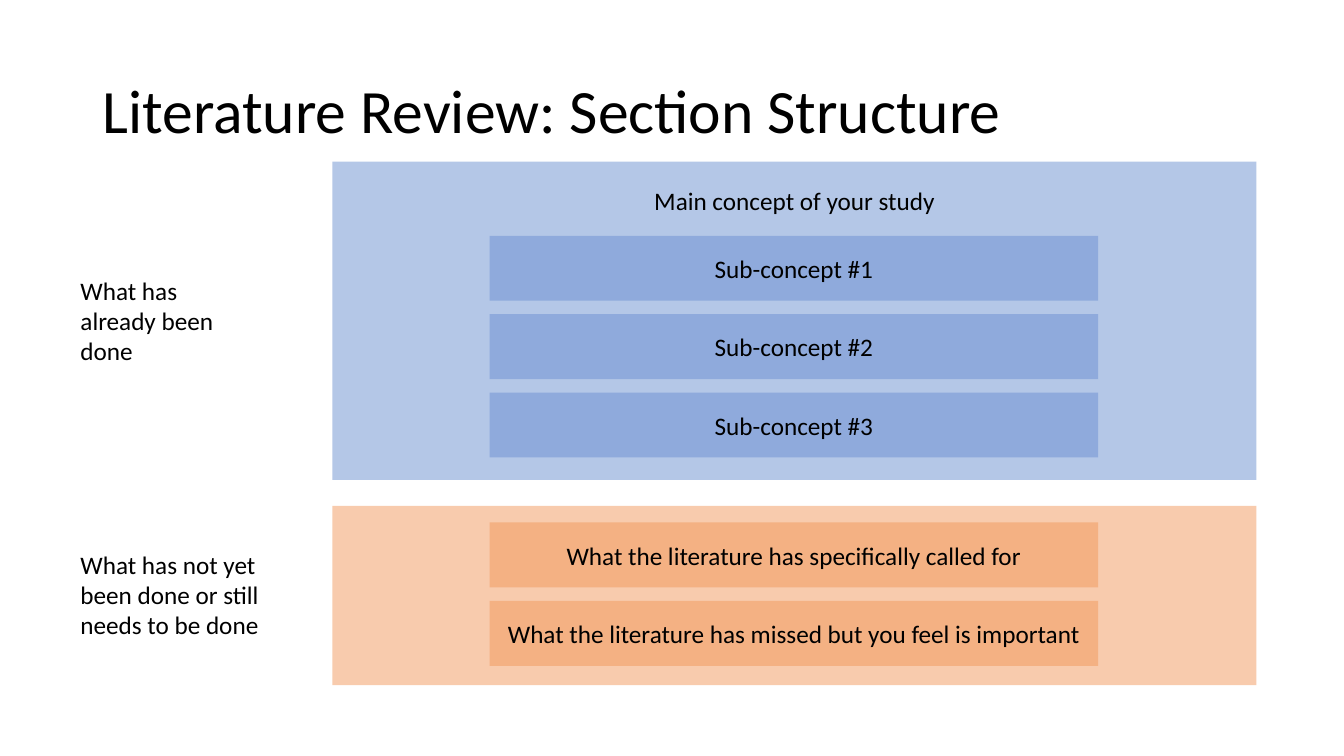
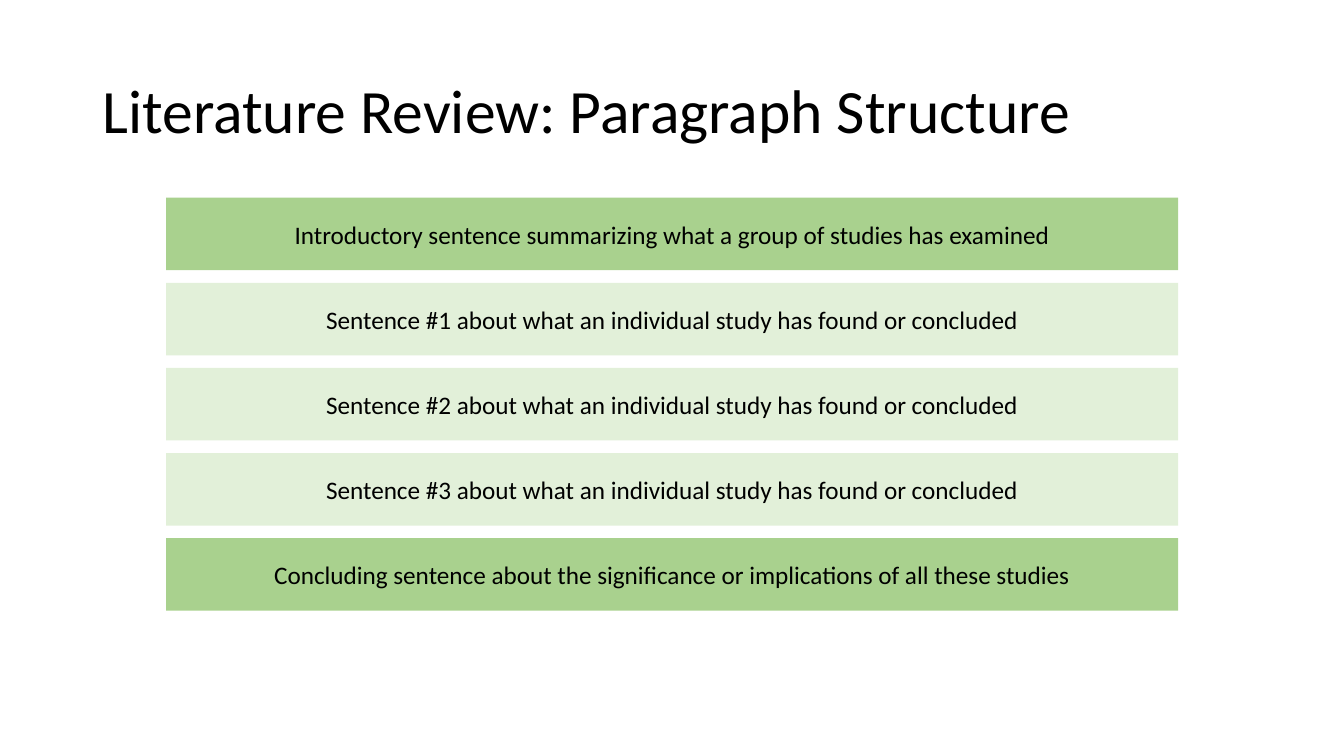
from dataclasses import dataclass

from pptx import Presentation
from pptx.dml.color import RGBColor
from pptx.enum.shapes import MSO_SHAPE
from pptx.enum.text import MSO_ANCHOR, PP_ALIGN
from pptx.util import Pt

RECTANGLE = MSO_SHAPE.RECTANGLE
TOP, MIDDLE = MSO_ANCHOR.TOP, MSO_ANCHOR.MIDDLE
LEFT, CENTER = PP_ALIGN.LEFT, PP_ALIGN.CENTER


@dataclass(frozen=True)
class Theme:
    font: str = "Calibri"
    title_size: int = 44
    body_size: int = 18
    text: str = "000000"
    blue: str = "8FAADC"
    pale_blue: str = "B4C7E7"
    orange: str = "F4B183"
    pale_orange: str = "F8CBAD"
    green: str = "A9D18E"
    pale_green: str = "E2F0D9"


THEME = Theme()


def write(frame, text, size, align, anchor):
    frame.word_wrap = True
    frame.vertical_anchor = anchor
    para = frame.paragraphs[0]
    para.text = text
    para.alignment = align
    para.font.name = THEME.font
    para.font.size = Pt(size)
    para.font.color.rgb = RGBColor.from_string(THEME.text)
    return para


def add_block(page, left, top, width, height, fill, text="", anchor=MIDDLE):
    block = page.shapes.add_shape(RECTANGLE, Pt(left), Pt(top), Pt(width), Pt(height))
    block.shadow.inherit = False
    block.fill.solid()
    block.fill.fore_color.rgb = RGBColor.from_string(fill)
    block.line.fill.background()
    if text:
        write(block.text_frame, text, THEME.body_size, CENTER, anchor)
    return block


deck = Presentation()
deck.slide_width, deck.slide_height = Pt(960), Pt(540)

# Pages with their titles
pages = []
for heading in ("Section", "Paragraph"):
    page = deck.slides.add_slide(deck.slide_layouts[5])
    title = page.shapes.title
    title.left, title.top, title.width, title.height = Pt(66), Pt(28.75), Pt(828), Pt(104.4)
    para = write(title.text_frame, f"Literature Review: {heading} Structure",
                 THEME.title_size, LEFT, MIDDLE)
    para.line_spacing = 0.9
    pages.append(page)
section_page, paragraph_page = pages

# Section structure: a side label, a panel and its inner bars
# label, label top, label width, panel top, panel height, heading, first bar, fills, bars
panels = [
    ("What has already been done", 193, 112.3, 115.4, 227.4,
     "Main concept of your study", 168.4, THEME.pale_blue, THEME.blue,
     [f"Sub-concept #{number}" for number in (1, 2, 3)]),
    ("What has not yet been done or still needs to be done", 388.8, 152, 361.4, 128,
     "", 373.2, THEME.pale_orange, THEME.orange,
     ["What the literature has specifically called for",
      "What the literature has missed but you feel is important"]),
]
BAR_PITCH = 56
for (label, label_top, label_width, panel_top, panel_height,
     heading, first_bar, panel_fill, bar_fill, bars) in panels:
    panel = add_block(section_page, 237.5, panel_top, 660, panel_height,
                      panel_fill, heading, TOP)
    panel.text_frame.margin_top = Pt(17)
    box = section_page.shapes.add_textbox(Pt(50.4), Pt(label_top), Pt(label_width), Pt(72.7))
    write(box.text_frame, label, THEME.body_size, LEFT, TOP)
    for index, bar in enumerate(bars):
        add_block(section_page, 349.8, first_bar + index * BAR_PITCH, 434.6, 46.4,
                  bar_fill, bar)

# Paragraph structure: evenly stacked sentences, darker at both ends
sentences = [
    "Introductory sentence summarizing what a group of studies has examined",
    *(f"Sentence #{number} about what an individual study has found or concluded"
      for number in (1, 2, 3)),
    "Concluding sentence about the significance or implications of all these studies",
]
SENTENCE_PITCH = 60.8
for index, sentence in enumerate(sentences):
    is_end = index in (0, len(sentences) - 1)
    add_block(paragraph_page, 118.6, 141.2 + index * SENTENCE_PITCH, 723, 51.8,
              THEME.green if is_end else THEME.pale_green, sentence)

deck.save("out.pptx")
